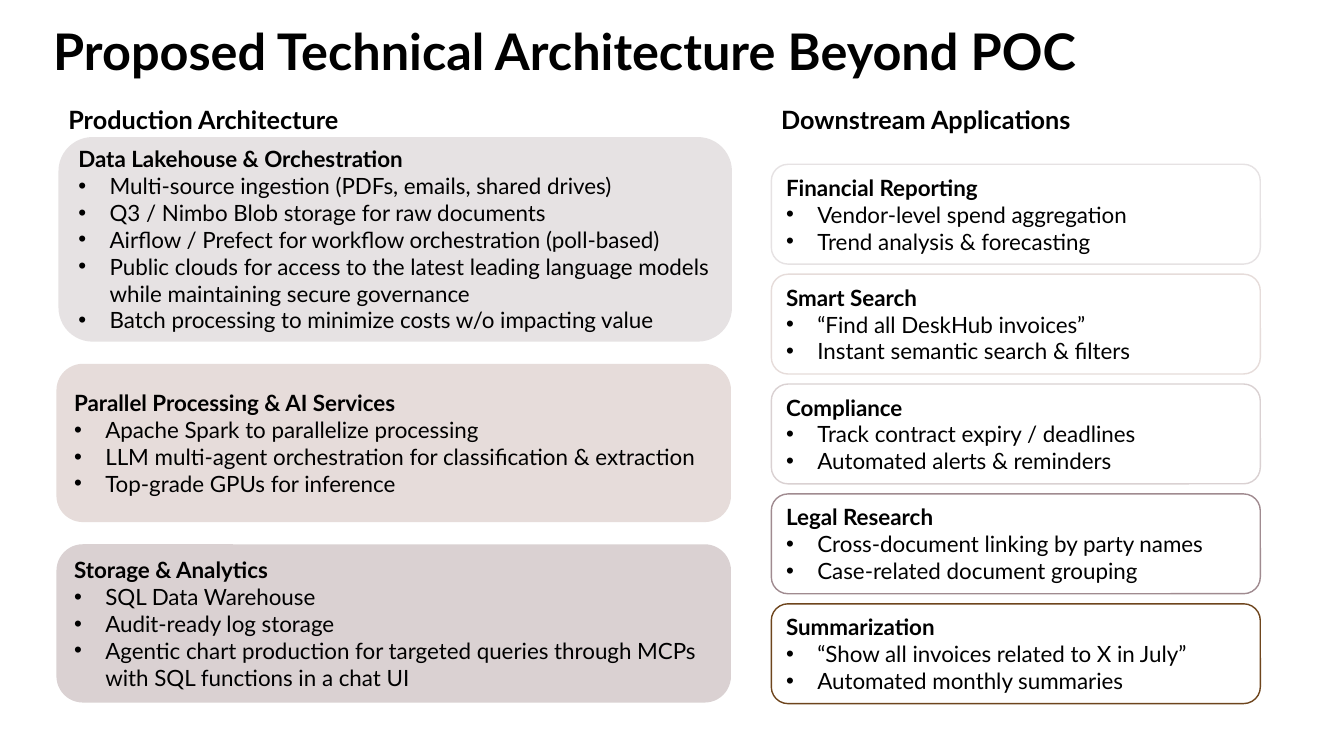
import pptx
import pptx.dml.color
import pptx.enum.shapes
import pptx.enum.text
import pptx.util
from lxml import etree
from pptx.oxml.ns import qn

Inches = pptx.util.Inches

# Content
TITLE = "Proposed Technical Architecture Beyond POC"
ARCHITECTURE_HEADING = "Production Architecture"
APPLICATIONS_HEADING = "Downstream Applications"

# (position and size, fill, heading, bullets)
ARCHITECTURE = [
    ((0.58, 1.36, 6.68, 2.03), "E6E2E3", "Data Lakehouse & Orchestration", [
        "Multi-source ingestion (PDFs, emails, shared drives)",
        "Q3 / Nimbo Blob storage for raw documents",
        "Airflow / Prefect for workflow orchestration (poll-based)",
        "Public clouds for access to the latest leading language "
        "models while maintaining secure governance",
        "Batch processing to minimize costs w/o impacting value",
    ]),
    ((0.56, 3.61, 6.69, 1.57), "E6DCDA", "Parallel Processing & AI Services", [
        "Apache Spark to parallelize processing",
        "LLM multi-agent orchestration for classification & extraction",
        "Top-grade GPUs for inference",
    ]),
    ((0.56, 5.4, 6.69, 1.57), "DAD1D2", "Storage & Analytics", [
        "SQL Data Warehouse",
        "Audit-ready log storage",
        "Agentic chart production for targeted queries through MCPs "
        "with SQL functions in a chat UI",
    ]),
]

# (outline, heading, bullets)
APPLICATIONS = [
    ("E6E2E3", "Financial Reporting",
     ["Vendor-level spend aggregation", "Trend analysis & forecasting"]),
    ("E6DCDA", "Smart Search",
     ["“Find all DeskHub invoices”", "Instant semantic search & filters"]),
    ("DAD1D2", "Compliance",
     ["Track contract expiry / deadlines", "Automated alerts & reminders"]),
    ("A08B90", "Legal Research",
     ["Cross-document linking by party names", "Case-related document grouping"]),
    ("6E451D", "Summarization",
     ["“Show all invoices related to X in July”", "Automated monthly summaries"]),
]

THEME = {"font": "Lato", "text": "000000", "title": 36, "heading": 18,
         "body": 16, "outline": 1}

# Layout
APPLICATION_LEFT, APPLICATION_TOP = 7.65, 1.63
APPLICATION_WIDTH, APPLICATION_HEIGHT = 4.85, 0.99
APPLICATION_STEP = 1.09
BULLET_INDENT = 0.31


def color(value):
    return pptx.dml.color.RGBColor.from_string(value)


def add_run(paragraph, text, size, bold):
    run = paragraph.add_run()
    run.text = text
    run.font.name = THEME["font"]
    run.font.size = pptx.util.Pt(size)
    run.font.bold = bold
    run.font.color.rgb = color(THEME["text"])


def add_label(slide, place, text, size, line_spacing):
    box = slide.shapes.add_textbox(*map(Inches, place))
    box.text_frame.word_wrap = True
    paragraph = box.text_frame.paragraphs[0]
    paragraph.line_spacing = line_spacing
    add_run(paragraph, text, size, True)


def add_bullet(paragraph):
    properties = paragraph._p.get_or_add_pPr()
    properties.set("marL", str(Inches(BULLET_INDENT)))
    properties.set("indent", str(-Inches(BULLET_INDENT)))
    etree.SubElement(properties, qn("a:buFont"), typeface="Arial")
    etree.SubElement(properties, qn("a:buChar"), char="•")


def add_card(slide, place, heading, bullets, fill=None, outline=None):
    card = slide.shapes.add_shape(
        pptx.enum.shapes.MSO_SHAPE.ROUNDED_RECTANGLE, *map(Inches, place))
    card.shadow.inherit = False
    if fill:
        card.fill.solid()
        card.fill.fore_color.rgb = color(fill)
    else:
        card.fill.background()
    if outline:
        card.line.color.rgb = color(outline)
        card.line.width = pptx.util.Pt(THEME["outline"])
    else:
        card.line.fill.background()

    frame = card.text_frame
    frame.word_wrap = True
    frame.vertical_anchor = pptx.enum.text.MSO_ANCHOR.MIDDLE
    add_run(frame.paragraphs[0], heading, THEME["body"], True)
    for bullet in bullets:
        paragraph = frame.add_paragraph()
        add_bullet(paragraph)
        add_run(paragraph, bullet, THEME["body"], False)
    for paragraph in frame.paragraphs:
        paragraph.alignment = pptx.enum.text.PP_ALIGN.LEFT


def main():
    presentation = pptx.Presentation()
    presentation.slide_width = Inches(13.33)
    presentation.slide_height = Inches(7.5)
    slide = presentation.slides.add_slide(presentation.slide_layouts[6])

    # Title and column headings
    add_label(slide, (0.43, 0.22, 12.2, 0.73), TITLE, THEME["title"], 0.9)
    add_label(slide, (0.58, 0.96, 3.79, 0.4), ARCHITECTURE_HEADING,
              THEME["heading"], 1.1)
    add_label(slide, (APPLICATION_LEFT, 0.96, 3.53, 0.4), APPLICATIONS_HEADING,
              THEME["heading"], 1.1)

    # Filled architecture cards
    for place, fill, heading, bullets in ARCHITECTURE:
        add_card(slide, place, heading, bullets, fill=fill)

    # Outlined application cards
    for index, (outline, heading, bullets) in enumerate(APPLICATIONS):
        top = APPLICATION_TOP + index * APPLICATION_STEP
        place = (APPLICATION_LEFT, top, APPLICATION_WIDTH, APPLICATION_HEIGHT)
        add_card(slide, place, heading, bullets, outline=outline)

    presentation.save("out.pptx")


if __name__ == "__main__":
    main()
